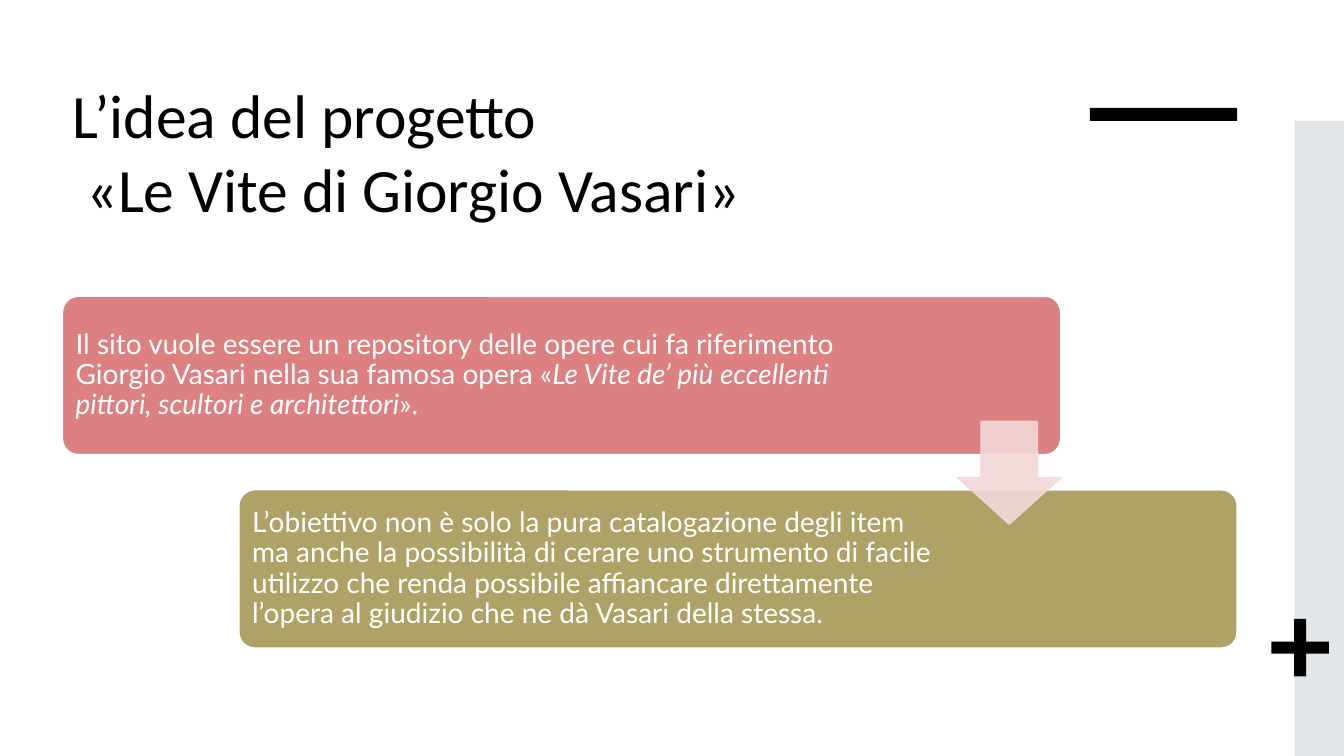
from dataclasses import dataclass

from lxml.etree import SubElement
from pptx import Presentation
from pptx.dml.color import RGBColor
from pptx.enum.shapes import MSO_SHAPE as Preset
from pptx.enum.text import MSO_ANCHOR as Anchor, MSO_AUTO_SIZE as AutoSize, PP_ALIGN as Align
from pptx.oxml.ns import qn
from pptx.shapes.autoshape import Shape
from pptx.slide import Slide
from pptx.text.text import _Paragraph as Paragraph
from pptx.util import Inches, Pt

COLORS = {
    "white": "FFFFFF",
    "black": "000000",
    "band": "E2E6E8",
    "rose": "DC8081",
    "olive": "AFA266",
    "arrow": "F2D8D8",
}
CARD_WIDTH, CARD_HEIGHT = 9.9, 1.57
TEXT_OFFSET = 0.05


@dataclass
class Figure:
    preset: Preset
    left: float
    top: float
    width: float
    height: float
    fill: str
    line: str | None = None
    adjustments: tuple[float, ...] = ()
    opacity: int = 100


@dataclass
class Phrase:
    text: str
    italic: bool = False


@dataclass
class Card:
    left: float
    top: float
    text_width: float
    fill: str
    phrases: list[Phrase]


TITLE_LINES = ["L’idea del progetto", " «Le Vite di Giorgio Vasari»"]

DECORATIONS = [
    Figure(Preset.RECTANGLE, 12.84, 1.2, 0.5, 6.3, "band"),
    Figure(Preset.RECTANGLE, 10.81, 1.07, 1.46, 0.13, "black"),
    Figure(Preset.CROSS, 12.61, 6.14, 0.57, 0.57, "black", adjustments=(0.395,)),
]

CARDS = [
    Card(0.62, 2.94, 8.28, "rose", [
        Phrase("Il sito vuole essere un repository delle opere cui fa riferimento "
               "Giorgio Vasari nella sua famosa opera «"),
        Phrase("Le Vite de’ più eccellenti pittori, scultori e architettori", italic=True),
        Phrase("»."),
    ]),
    Card(2.37, 4.86, 7.04, "olive", [
        Phrase("L’obiettivo non è solo la pura catalogazione degli item ma anche la "
               "possibilità di cerare uno strumento di facile utilizzo che renda possibile "
               "affiancare direttamente l’opera al giudizio che ne dà Vasari della stessa."),
    ]),
]

ARROW = Figure(Preset.DOWN_ARROW, 9.5, 4.18, 1.02, 1.02, "arrow", "arrow", (0.55, 0.45), 90)


def color(name: str) -> RGBColor:
    return RGBColor.from_string(COLORS[name])


def add_run(paragraph: Paragraph, phrase: Phrase, font_name: str, size: int, color_name: str) -> None:
    run = paragraph.add_run()
    run.text = phrase.text
    run.font.name = font_name
    run.font.size = Pt(size)
    run.font.italic = phrase.italic
    run.font.color.rgb = color(color_name)


def add_figure(slide: Slide, figure: Figure) -> Shape:
    shape = slide.shapes.add_shape(
        figure.preset, Inches(figure.left), Inches(figure.top),
        Inches(figure.width), Inches(figure.height))
    shape.shadow.inherit = False
    shape.fill.solid()
    shape.fill.fore_color.rgb = color(figure.fill)
    if figure.line:
        shape.line.color.rgb = color(figure.line)
        shape.line.width = Pt(1)
    else:
        shape.line.fill.background()
    for index, value in enumerate(figure.adjustments):
        shape.adjustments[index] = value
    if figure.opacity < 100:
        for rgb in shape._element.spPr.iter(qn("a:srgbClr")):
            SubElement(rgb, qn("a:alpha"), val=str(figure.opacity * 1000))
    return shape


def add_card(slide: Slide, card: Card) -> None:
    """Draw a rounded card and its text, which is narrower than the card."""
    add_figure(slide, Figure(Preset.ROUNDED_RECTANGLE, card.left, card.top, CARD_WIDTH,
                             CARD_HEIGHT, card.fill, "white", (0.1,)))
    box = slide.shapes.add_textbox(
        Inches(card.left + TEXT_OFFSET), Inches(card.top + TEXT_OFFSET),
        Inches(card.text_width), Inches(CARD_HEIGHT - 2 * TEXT_OFFSET))
    frame = box.text_frame
    frame.word_wrap = True
    frame.vertical_anchor = Anchor.MIDDLE
    frame.margin_left = frame.margin_right = Inches(0.08)
    frame.margin_top = frame.margin_bottom = Inches(0.08)
    paragraph = frame.paragraphs[0]
    paragraph.line_spacing = 0.9
    for phrase in card.phrases:
        add_run(paragraph, phrase, "Lato", 20, "white")


def fill_title(slide: Slide) -> None:
    title = slide.shapes.title
    title.left, title.top = Inches(0.62), Inches(0.71)
    title.width, title.height = Inches(9.04), Inches(1.58)
    frame = title.text_frame
    frame.auto_size = AutoSize.NONE
    frame.vertical_anchor = Anchor.MIDDLE
    paragraph = frame.paragraphs[0]
    paragraph.alignment = Align.LEFT
    for index, line in enumerate(TITLE_LINES):
        if index:
            paragraph.add_line_break()
        add_run(paragraph, Phrase(line), "Calibri", 44, "black")


def main() -> None:
    presentation = Presentation()
    presentation.slide_width, presentation.slide_height = Inches(13.33), Inches(7.5)
    slide = presentation.slides.add_slide(presentation.slide_layouts[5])
    slide.background.fill.solid()
    slide.background.fill.fore_color.rgb = color("white")
    fill_title(slide)
    for decoration in DECORATIONS:
        add_figure(slide, decoration)
    for card in CARDS:
        add_card(slide, card)
    add_figure(slide, ARROW)
    presentation.save("out.pptx")


if __name__ == "__main__":
    main()
